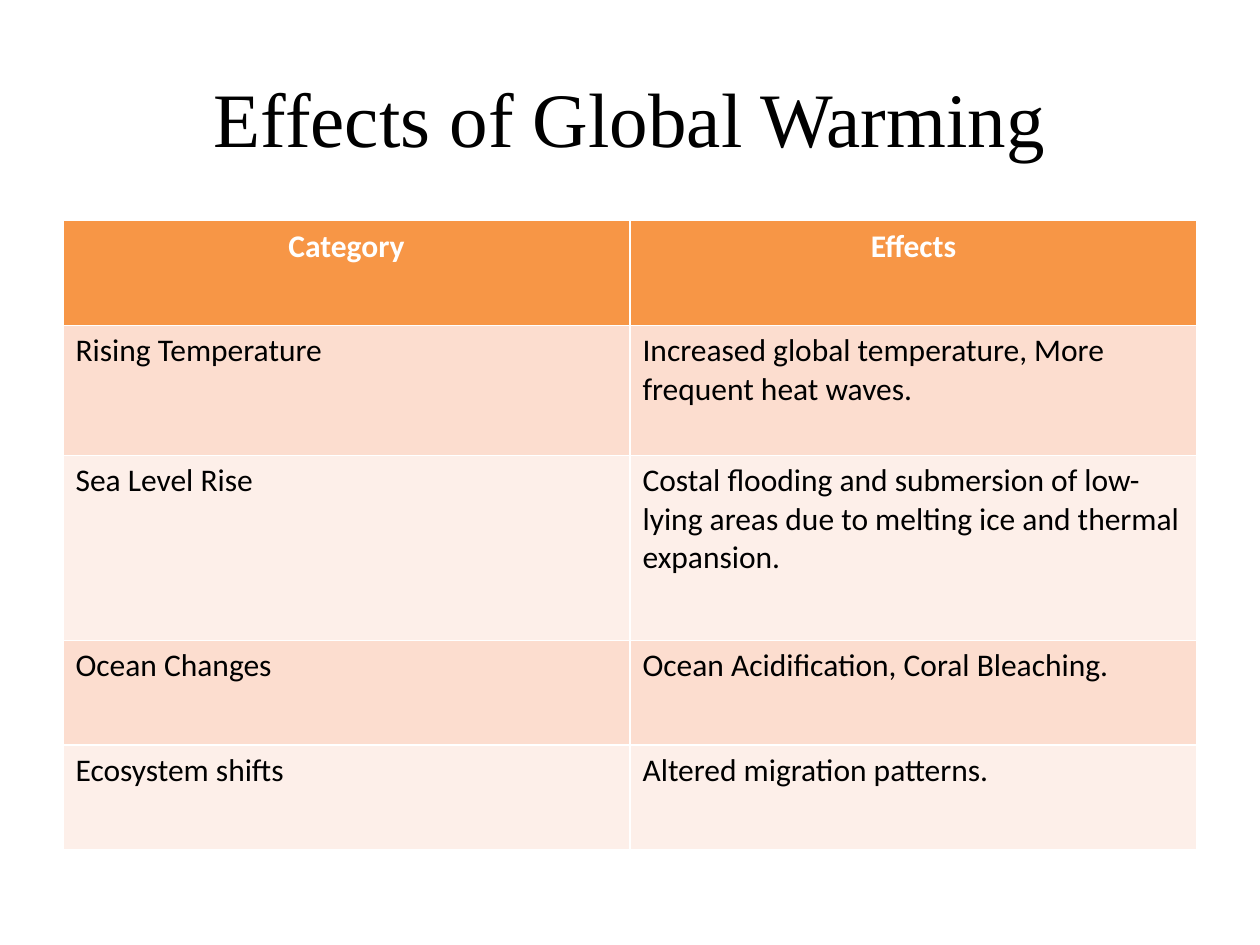
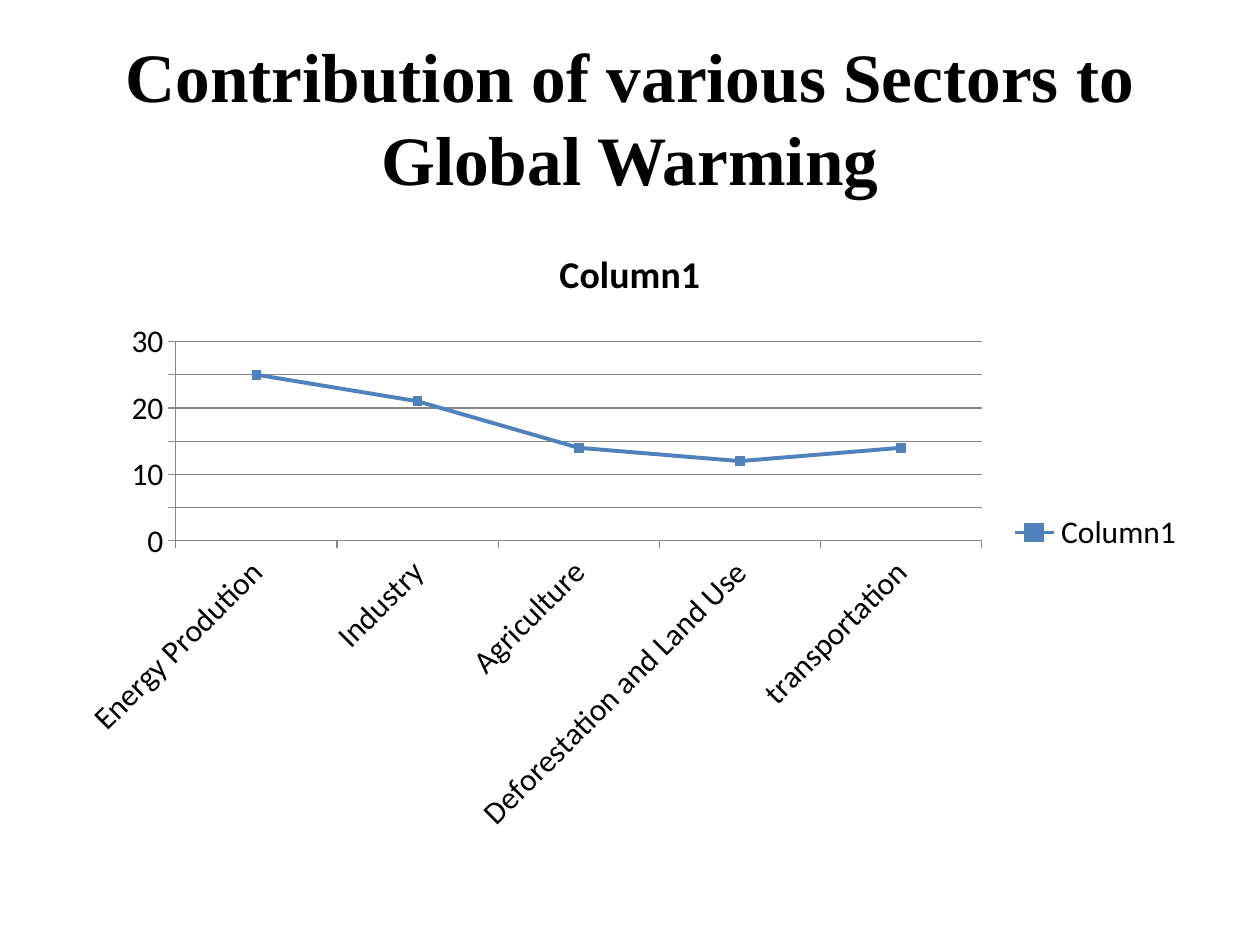
import pptx
import pptx.chart.data
import pptx.dml.color
import pptx.enum.chart
import pptx.enum.text
import pptx.util

Cm, Pt = pptx.util.Cm, pptx.util.Pt
ALIGN = pptx.enum.text.PP_ALIGN
CHART = pptx.enum.chart

COLORS = {
    "text": "000000",
    "white": "FFFFFF",
    "head": "F79646",
    "dark": "FCDDCF",
    "light": "FDEFE9",
    "line": "4F81BD",
    "grid": "878787",
}
SERIF, SANS = "Times New Roman", "Calibri"

# Shared boxes: left, top, width, height in cm
TITLE = (1.27, 0.76, 22.86, 3.18)
BODY = (1.27, 4.45, 22.86, 12.57)

EFFECTS = [
    ("Category", "Effects"),
    ("Rising Temperature",
     "Increased global temperature, More frequent heat waves."),
    ("Sea Level Rise",
     "Costal flooding and submersion of low-lying areas due to melting ice "
     "and thermal expansion."),
    ("Ocean Changes", "Ocean Acidification, Coral Bleaching."),
    ("Ecosystem shifts", "Altered migration patterns."),
]
HEIGHTS = (2.11, 2.62, 3.73, 2.11, 2.11)

SECTORS = {
    "Energy Prodution": 25,
    "Industry": 21,
    "Agriculture": 14,
    "Deforestation and Land Use": 12,
    "transportation": 14,
}


def rgb(name):
    return pptx.dml.color.RGBColor.from_string(COLORS[name])


def style(font, face, size, color="text", bold=False):
    font.name, font.size, font.bold = face, Pt(size), bold
    font.color.rgb = rgb(color)


def add_slide(deck, text, size, bold=False):
    """Add a slide with the shared title style."""
    slide = deck.slides.add_slide(deck.slide_layouts[5])
    title = slide.shapes.title
    title.left, title.top, title.width, title.height = map(Cm, TITLE)
    frame = title.text_frame
    frame.text = text
    frame.vertical_anchor = pptx.enum.text.MSO_ANCHOR.MIDDLE
    para = frame.paragraphs[0]
    para.alignment = ALIGN.CENTER
    style(para.font, face=SERIF, size=size, bold=bold)
    return slide


def add_effects(slide, box):
    """Table with a header row and two alternating row colours."""
    table = slide.shapes.add_table(
        len(EFFECTS), len(EFFECTS[0]), *map(Cm, box)).table
    for row, height in zip(table.rows, HEIGHTS):
        row.height = Cm(height)
    for r, texts in enumerate(EFFECTS):
        head = r == 0
        fill = "head" if head else ("light", "dark")[r % 2]
        for c, text in enumerate(texts):
            cell = table.cell(r, c)
            cell.text = text
            cell.fill.solid()
            cell.fill.fore_color.rgb = rgb(fill)
            para = cell.text_frame.paragraphs[0]
            para.alignment = ALIGN.CENTER if head else ALIGN.LEFT
            style(para.font, SANS, 18, "white" if head else "text", head)


def add_sectors(slide, box):
    """Line chart of the share of each sector."""
    data = pptx.chart.data.CategoryChartData()
    data.categories = list(SECTORS)
    data.add_series("Column1", list(SECTORS.values()))
    chart = slide.shapes.add_chart(
        CHART.XL_CHART_TYPE.LINE_MARKERS_STACKED, *map(Cm, box), data).chart
    style(chart.font, SANS, 18)

    # Title and legend
    chart.has_title = True
    frame = chart.chart_title.text_frame
    frame.text = "Column1"
    style(frame.paragraphs[0].font, SANS, 21.6, bold=True)
    chart.has_legend = True
    chart.legend.position = CHART.XL_LEGEND_POSITION.RIGHT
    chart.legend.include_in_layout = False

    # Axes and grid
    chart.value_axis.has_major_gridlines = True
    grid = chart.value_axis.major_gridlines.format
    axes = (chart.category_axis, chart.value_axis)
    for part in (grid, *(axis.format for axis in axes)):
        part.line.color.rgb = rgb("grid")
        part.line.width = Pt(0.75)
    for axis in axes:
        axis.major_tick_mark = CHART.XL_TICK_MARK.OUTSIDE

    # Line and markers
    plot = chart.plots[0]
    plot.vary_by_categories = False
    series = plot.series[0]
    series.smooth = False
    series.format.line.color.rgb = rgb("line")
    series.format.line.width = Pt(2.25)
    marker = series.marker
    marker.style = CHART.XL_MARKER_STYLE.SQUARE
    marker.size = 5
    marker.format.fill.solid()
    marker.format.fill.fore_color.rgb = rgb("line")
    marker.format.line.color.rgb = rgb("line")


def main():
    deck = pptx.Presentation()
    deck.slide_width, deck.slide_height = Cm(25.4), Cm(19.05)
    add_effects(add_slide(deck, "Effects of Global Warming", 44), BODY)
    add_sectors(
        add_slide(deck, "Contribution of various Sectors to Global Warming",
                  39.6, bold=True), BODY)
    deck.save("out.pptx")


if __name__ == "__main__":
    main()
